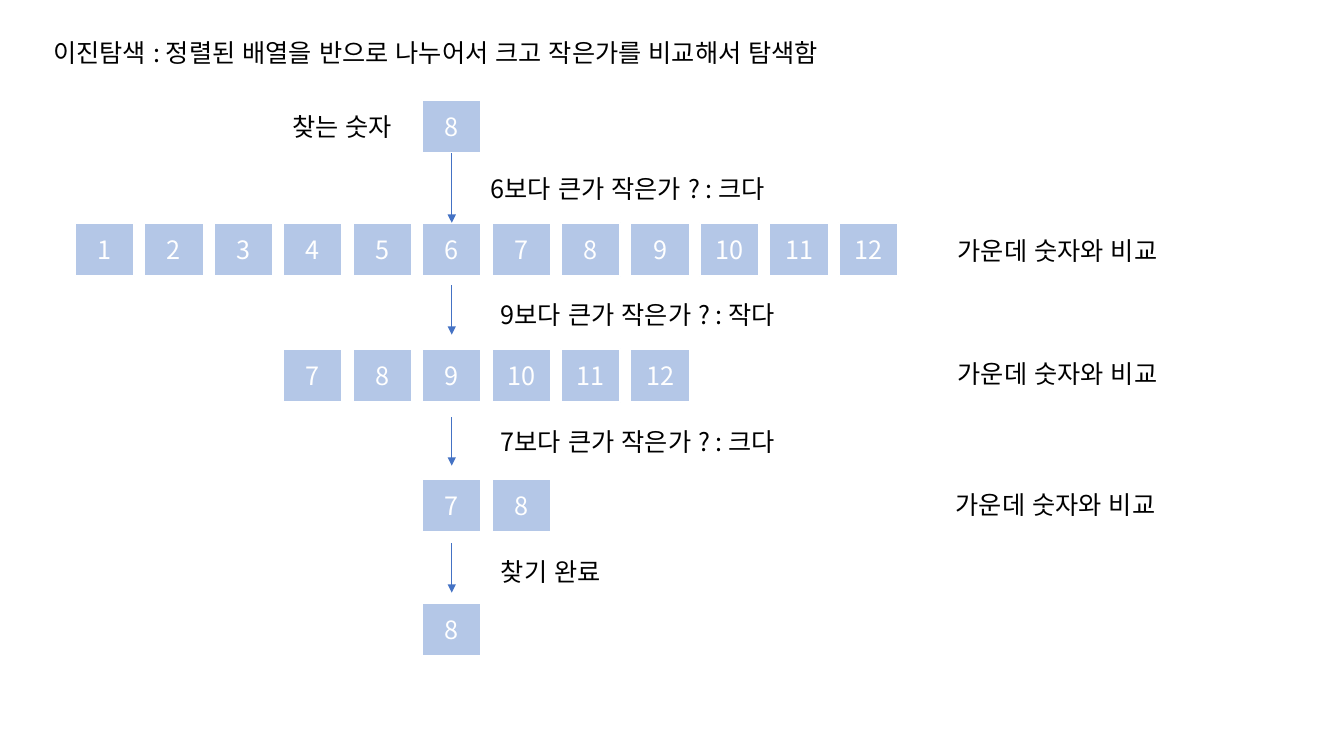
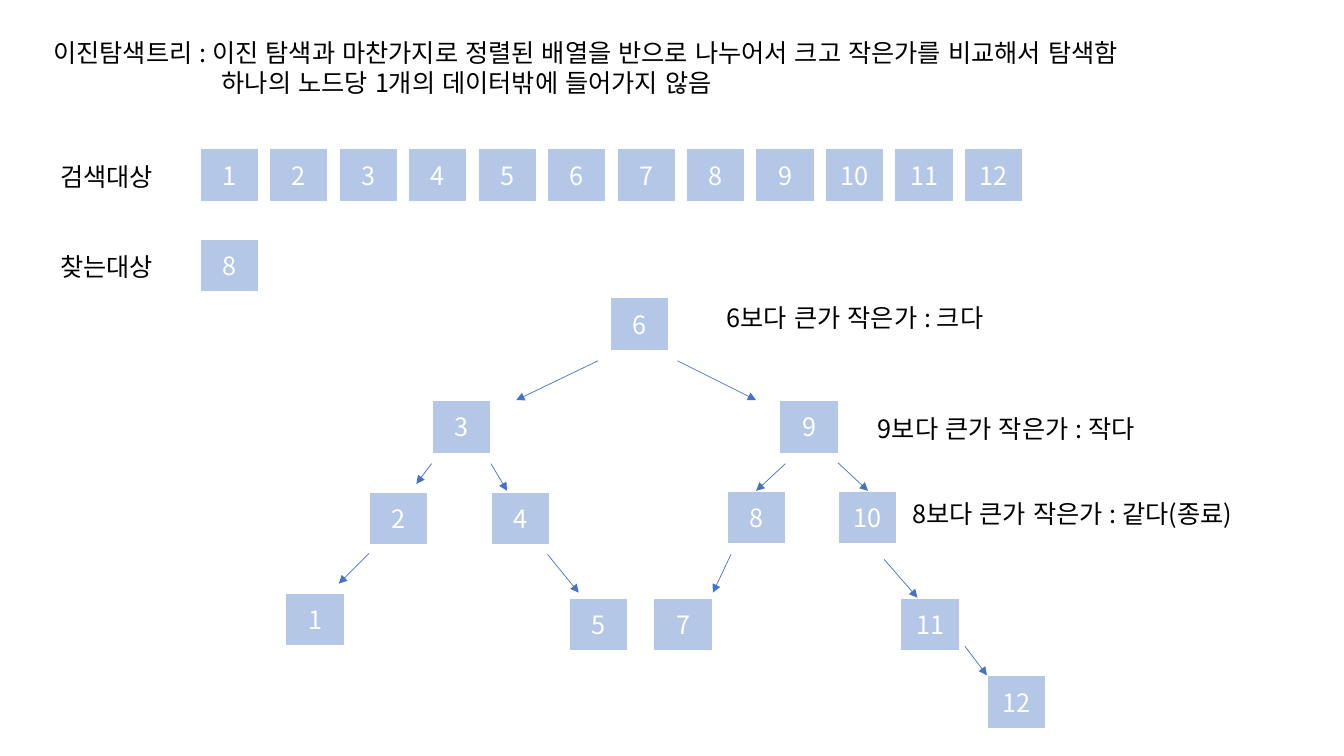
"""Build two slides on binary search and the binary search tree."""
from lxml import etree
from pptx import Presentation
from pptx import util as u
from pptx.dml.color import RGBColor
from pptx.enum import lang, shapes, text
from pptx.oxml.ns import qn

FONT = "Noto Sans CJK JP"
COLORS = {"box": "B4C7E7", "edge": "FFFFFF", "number": "FFFFFF", "text": "000000", "arrow": "4472C4"}
WIDTH, HEIGHT = u.Inches(13.33), u.Inches(7.5)
BOX_W, BOX_H, PITCH = 4.43, 7.07, 5.17
LINE_H = 5.33
TITLE_X, TITLE_Y = 3.23, 4.27
MIDDLE = 31.4
ASK_W, NOTE_W, TREE_W = 24, 18, 27.16

SEARCH_ROWS = [
    (13.2, 0, [8]),
    (29.47, -5, range(1, 13)),
    (46.13, -2, range(7, 13)),
    (63.33, 0, [7, 8]),
    (79.73, 0, [8]),
]
SEARCH_ARROWS = [(20.27, 29.47), (37.73, 44.27), (55.2, 61.6), (71.87, 78.4)]
SEARCH_LABELS = [
    (21.01, 14, 10, "찾는 숫자"),
    (35.78, 22.27, ASK_W, "6보다 큰가 작은가 ? : 크다"),
    (36.53, 38.93, ASK_W, "9보다 큰가 작은가 ? : 작다"),
    (36.53, 55.73, ASK_W, "7보다 큰가 작은가 ? : 크다"),
    (36.53, 72.93, ASK_W, "찾기 완료"),
    (70.52, 30.53, NOTE_W, "가운데 숫자와 비교"),
    (70.52, 46.67, NOTE_W, "가운데 숫자와 비교"),
    (70.37, 64.13, NOTE_W, "가운데 숫자와 비교"),
]

TREE_NODES = {
    6: (45.39, 39.33), 3: (32.11, 52.93), 9: (57.99, 52.93), 2: (27.46, 65.07),
    4: (36.53, 65.07), 8: (54.09, 64.93), 10: (62.34, 64.93), 1: (21.23, 78.4),
    5: (42.31, 79.07), 7: (48.61, 79.07), 11: (66.99, 79.07), 12: (73.44, 89.33),
}
TREE_ARROWS = [
    (44.49, 47.73, 38.41, 52.93), (50.41, 47.73, 56.26, 52.93),
    (32.11, 61.33, 30.98, 64), (36.53, 61.33, 37.73, 64.93),
    (58.44, 61.33, 56.26, 64.93), (62.34, 61.2, 64.59, 64.93),
    (27.46, 73.2, 25.21, 77.2), (40.74, 73.33, 43.06, 78.4),
    (54.39, 73.33, 53.04, 78.4), (65.79, 74, 68.27, 79.07),
    (71.79, 85.47, 73.44, 89.33),
]
TREE_LABELS = [
    (3.75, 20.67, 9.2, "검색대상"),
    (3.75, 32.53, 9.2, "찾는대상"),
    (53.34, 39.33, TREE_W, "6보다 큰가 작은가 : 크다"),
    (64.59, 54, TREE_W, "9보다 큰가 작은가 : 작다"),
    (67.14, 65.2, TREE_W, "8보다 큰가 작은가 : 같다(종료)"),
]


def across(share):
    """Turn a percentage of the slide width into a length."""
    return round(WIDTH * share / 100)


def down(share):
    """Turn a percentage of the slide height into a length."""
    return round(HEIGHT * share / 100)


def rgb(name):
    """Look up a named colour."""
    return RGBColor.from_string(COLORS[name])


def add_run(p, words, color):
    """Add one run of Korean text in the shared font."""
    r = p.add_run()
    r.text = words
    r.font.size = u.Pt(18)
    r.font.name = FONT
    r.font.language_id = lang.MSO_LANGUAGE_ID.KOREAN
    r.font.color.rgb = rgb(color)
    etree.SubElement(r.font._element, qn("a:ea"), typeface=FONT)


def add_label(s, x, y, w, *lines, indent=0):
    """Add a text box, indenting every line after the first."""
    tf = s.shapes.add_textbox(across(x), down(y), across(w), down(LINE_H * len(lines))).text_frame
    tf.word_wrap = True
    for i, words in enumerate(lines):
        p = tf.add_paragraph() if i else tf.paragraphs[0]
        if i:
            p._p.get_or_add_pPr().set("marL", str(u.Inches(indent)))
        add_run(p, words, "text")


def add_box(s, x, y, number):
    """Add one numbered box."""
    sp = s.shapes.add_shape(shapes.MSO_SHAPE.RECTANGLE, across(x), down(y), across(BOX_W), down(BOX_H))
    sp.shadow.inherit = False
    sp.fill.solid()
    sp.fill.fore_color.rgb = rgb("box")
    sp.line.color.rgb = rgb("edge")
    sp.line.width = u.Pt(1.5)
    tf = sp.text_frame
    tf.vertical_anchor = text.MSO_ANCHOR.MIDDLE
    p = tf.paragraphs[0]
    p.alignment = text.PP_ALIGN.CENTER
    add_run(p, str(number), "number")


def add_row(s, x, y, numbers):
    """Add evenly spaced boxes from left to right."""
    for i, number in enumerate(numbers):
        add_box(s, x + i * PITCH, y, number)


def add_arrow(s, x1, y1, x2, y2):
    """Add a thin arrow between two points."""
    sp = s.shapes.add_connector(shapes.MSO_CONNECTOR.STRAIGHT, across(x1), down(y1), across(x2), down(y2))
    sp.line.color.rgb = rgb("arrow")
    sp.line.width = u.Pt(0.5)
    etree.SubElement(sp.line._get_or_add_ln(), qn("a:tailEnd"), type="triangle")
    etree.SubElement(sp._element.spPr, qn("a:effectLst"))


def add_slide(prs, title, labels, indent=0):
    """Add a blank slide with its title lines and labels."""
    s = prs.slides.add_slide(prs.slide_layouts[6])
    add_label(s, TITLE_X, TITLE_Y, 88, *title, indent=indent)
    for label in labels:
        add_label(s, *label)
    return s


def build_search(prs):
    """Show the array being halved step by step."""
    title = ["이진탐색 : 정렬된 배열을 반으로 나누어서 크고 작은가를 비교해서 탐색함"]
    s = add_slide(prs, title, SEARCH_LABELS)
    for y, offset, numbers in SEARCH_ROWS:
        add_row(s, MIDDLE + offset * PITCH, y, numbers)
    x = MIDDLE + BOX_W / 2
    for top, bottom in SEARCH_ARROWS:
        add_arrow(s, x, top, x, bottom)


def build_tree(prs):
    """Show the same search on a tree."""
    title = [
        "이진탐색트리 : 이진 탐색과 마찬가지로 정렬된 배열을 반으로 나누어서 크고 작은가를 비교해서 탐색함",
        "하나의 노드당 1개의 데이터밖에 들어가지 않음",
    ]
    s = add_slide(prs, title, TREE_LABELS, indent=1.67)
    add_row(s, 14.85, 19.6, range(1, 13))
    add_box(s, 14.85, 31.6, 8)
    for number, (x, y) in TREE_NODES.items():
        add_box(s, x, y, number)
    for arrow in TREE_ARROWS:
        add_arrow(s, *arrow)


def main():
    """Build and save the presentation."""
    prs = Presentation()
    prs.slide_width, prs.slide_height = WIDTH, HEIGHT
    build_search(prs)
    build_tree(prs)
    prs.save("out.pptx")


if __name__ == "__main__":
    main()
